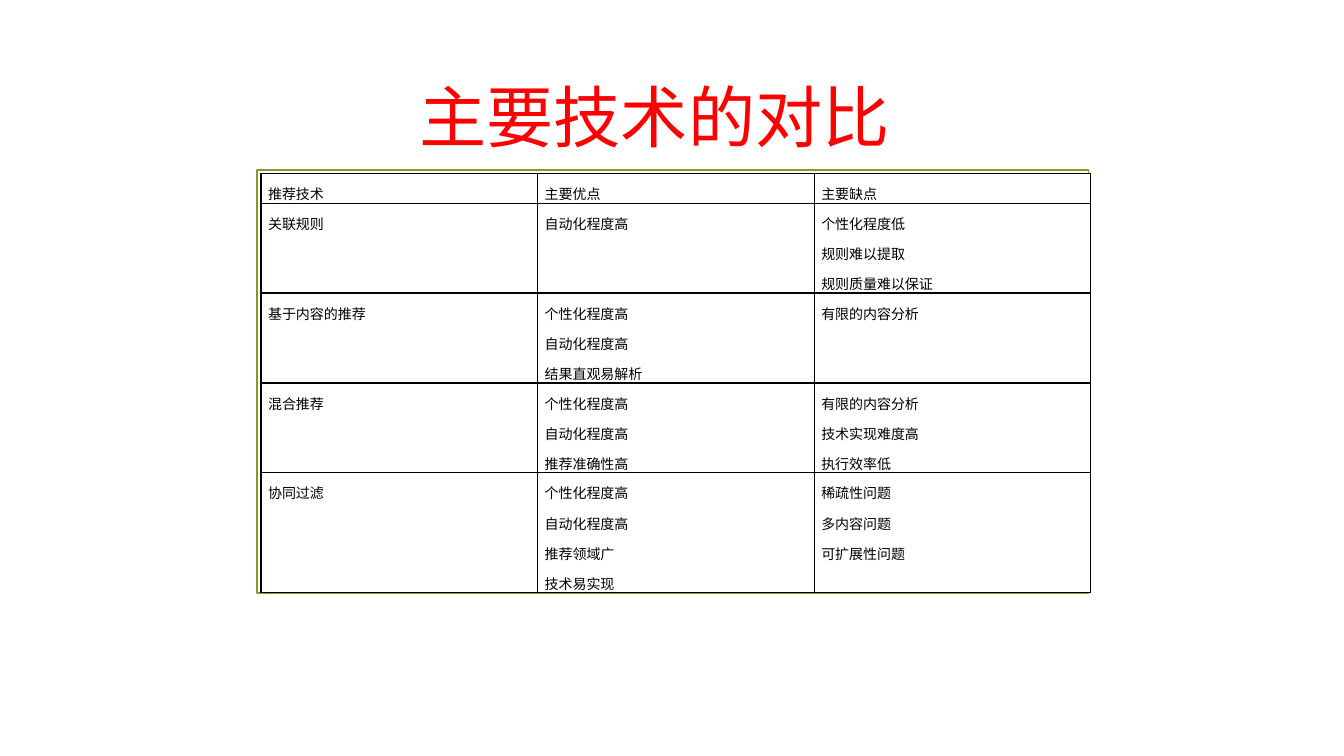
from lxml import etree
from pptx import Presentation
from pptx import util as u
from pptx.dml.color import RGBColor
from pptx.enum import shapes, text
from pptx.oxml import ns

RED = RGBColor(0xFF, 0x00, 0x00)
BLACK = RGBColor(0x00, 0x00, 0x00)
WHITE = RGBColor(0xFF, 0xFF, 0xFF)
OLIVE = RGBColor(0x83, 0x99, 0x2A)

ROWS = [
    ("推荐技术", "主要优点", "主要缺点"),
    ("关联规则", "自动化程度高", "个性化程度低\n规则难以提取\n规则质量难以保证"),
    ("基于内容的推荐", "个性化程度高\n自动化程度高\n结果直观易解析", "有限的内容分析"),
    ("混合推荐", "个性化程度高\n自动化程度高\n推荐准确性高",
     "有限的内容分析\n技术实现难度高\n执行效率低"),
    ("协同过滤", "个性化程度高\n自动化程度高\n推荐领域广\n技术易实现",
     "稀疏性问题\n多内容问题\n可扩展性问题"),
]


class Deck:
    title_font, title_size = "Times New Roman", 48
    cell_font, cell_size = "DejaVu Sans Mono", 10
    line_step = 21.4

    def __init__(self, slide):
        self.slide = slide

    def style(self, para, name, size, color, align):
        para.alignment = align
        para.font.name = name
        para.font.size = u.Pt(size)
        para.font.color.rgb = color

    def frame(self, *box):
        rect = self.slide.shapes.add_shape(
            shapes.MSO_SHAPE.RECTANGLE, *map(u.Pt, box))
        rect.shadow.inherit = False
        rect.fill.background()
        rect.line.color.rgb = OLIVE
        rect.line.width = u.Pt(1.25)

    def title(self, words, *box):
        body = self.slide.shapes.add_textbox(*map(u.Pt, box)).text_frame
        body.word_wrap = True
        body.vertical_anchor = text.MSO_ANCHOR.BOTTOM
        body.text = words
        self.style(body.paragraphs[0], self.title_font, self.title_size,
                   RED, text.PP_ALIGN.CENTER)

    def border(self, cell):
        props = cell._tc.get_or_add_tcPr()
        for side in ("a:lnL", "a:lnR", "a:lnT", "a:lnB"):
            line = etree.SubElement(props, ns.qn(side), w=str(u.Pt(1)))
            fill = etree.SubElement(line, ns.qn("a:solidFill"))
            etree.SubElement(fill, ns.qn("a:srgbClr"), val=str(BLACK))

    def cell(self, cell, words):
        cell.margin_left = cell.margin_right = u.Pt(5)
        cell.margin_top = cell.margin_bottom = 0
        self.border(cell)
        cell.fill.solid()
        cell.fill.fore_color.rgb = WHITE
        cell.text = words
        for para in cell.text_frame.paragraphs:
            para.line_spacing = 1.5
            self.style(para, self.cell_font, self.cell_size,
                       BLACK, text.PP_ALIGN.JUSTIFY)

    def table(self, rows, left, top, width):
        """Make each row as high as its longest cell needs."""
        lines = [max(words.count("\n") + 1 for words in row) for row in rows]
        grid = self.slide.shapes.add_table(
            len(rows), len(rows[0]), u.Pt(left), u.Pt(top), u.Pt(width),
            u.Pt(self.line_step * sum(lines))).table
        grid.first_row = grid.horz_banding = False
        for r, row in enumerate(rows):
            grid.rows[r].height = u.Pt(self.line_step * lines[r])
            for c, words in enumerate(row):
                self.cell(grid.cell(r, c), words)


def main():
    show = Presentation()
    show.slide_width, show.slide_height = u.Pt(960), u.Pt(540)
    deck = Deck(show.slides.add_slide(show.slide_layouts[6]))
    deck.frame(183.6, 121.7, 594, 301.7)
    deck.title("主要技术的对比", 199.4, 41.8, 536.4, 73.4)
    deck.table(ROWS, 186.5, 123.8, 592.8)
    show.save("out.pptx")


if __name__ == "__main__":
    main()
